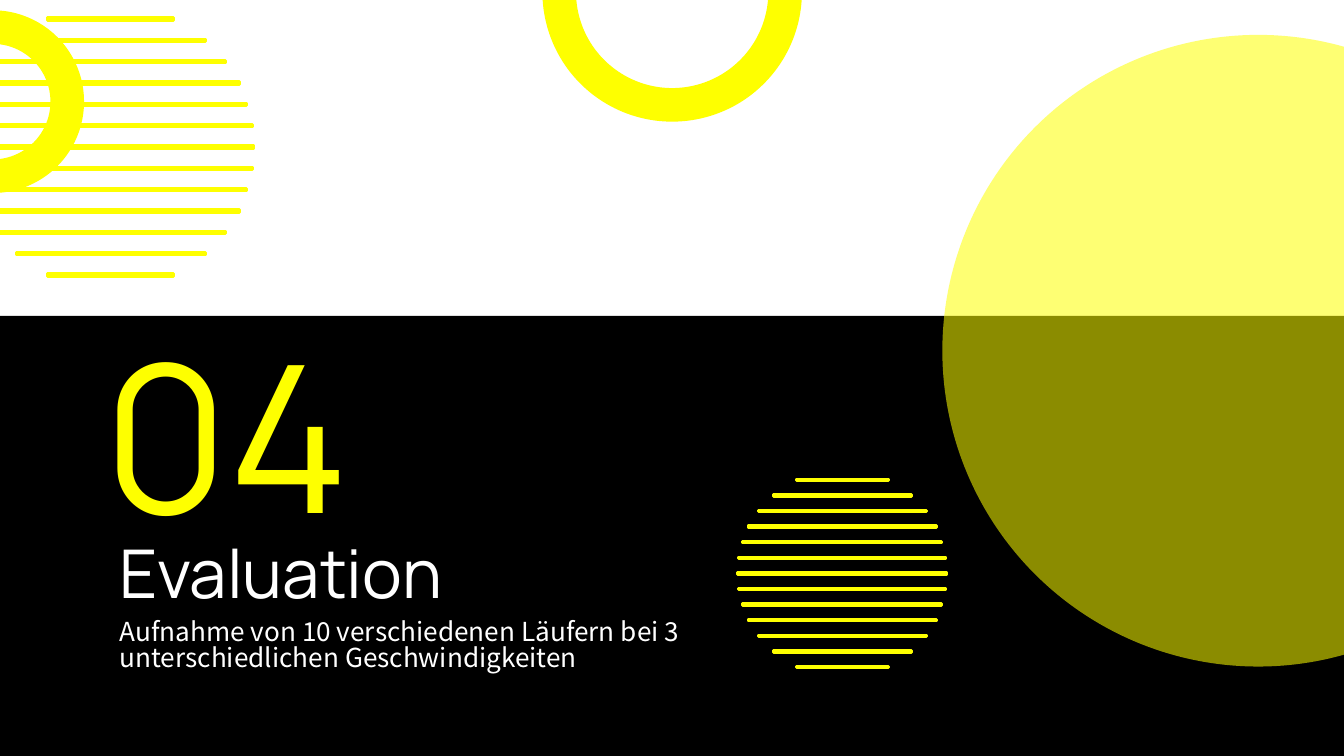
from lxml import etree
from pptx import Presentation
from pptx.dml.color import RGBColor
from pptx.enum.shapes import MSO_SHAPE
from pptx.enum.text import MSO_ANCHOR
from pptx.oxml.ns import qn
from pptx.util import Cm, Pt

RECTANGLE, OVAL, ARC = MSO_SHAPE.RECTANGLE, MSO_SHAPE.OVAL, MSO_SHAPE.ARC
MIDDLE = MSO_ANCHOR.MIDDLE

COLORS = {"yellow": "FEFF00", "black": "000000", "white": "FFFFFF"}
HALF_RATIOS = [0.44, 0.66, 0.8, 0.9, 0.95, 0.99]
STRIPE_RATIOS = HALF_RATIOS + [1] + HALF_RATIOS[::-1]


def color(name):
    return RGBColor.from_string(COLORS[name])


def paint(shape, fill=None, line=None, width=0):
    shape.shadow.inherit = False
    if fill:
        shape.fill.solid()
        shape.fill.fore_color.rgb = color(fill)
    else:
        shape.fill.background()
    if line:
        shape.line.color.rgb = color(line)
        shape.line.width = Pt(width)
    else:
        shape.line.fill.background()


def add_plain(page, kind, box, fill, opacity=None):
    shape = page.shapes.add_shape(kind, *map(Cm, box))
    paint(shape, fill)
    if opacity:
        tint = shape.fill._xPr.find(qn("a:solidFill"))[0]
        etree.SubElement(tint, qn("a:alpha"), val=str(opacity * 1000))


def add_half_ring(page, box, rotation):
    ring = page.shapes.add_shape(ARC, *map(Cm, box))
    ring.adjustments[0] = 53.97
    ring.adjustments[1] = 162.24
    ring.rotation = rotation
    paint(ring, line="yellow", width=18)


def add_striped_disc(page, box, thickness):
    """Stack centred stripes whose widths follow a circle; box spans first to last stripe."""
    left, top, width, height = box
    group = page.shapes.add_group_shape()
    pitch = height / (len(STRIPE_RATIOS) - 1)
    for row, ratio in enumerate(STRIPE_RATIOS):
        start = left + width * (1 - ratio) / 2
        end = start + width * ratio
        upper = top + row * pitch - thickness / 2
        lower = upper + thickness
        corners = [(start, lower), (end, lower), (end, upper)]
        builder = group.shapes.build_freeform(Cm(start), Cm(upper))
        builder.add_line_segments([(Cm(x), Cm(y)) for x, y in corners], close=True)
        paint(builder.convert_to_shape(), "yellow", "yellow", 1.5)


def add_text(page, box, text, tint, spacing=1.0, **font_format):
    frame = page.shapes.add_textbox(*map(Cm, box)).text_frame
    frame_format = {"word_wrap": True, "vertical_anchor": MIDDLE}
    frame_format.update({f"margin_{side}": Cm(0.25)
                         for side in ("left", "top", "right", "bottom")})
    for name, value in frame_format.items():
        setattr(frame, name, value)
    para = frame.paragraphs[0]
    para.line_spacing = spacing
    span = para.add_run()
    span.text = text
    span.font.color.rgb = color(tint)
    for name, value in font_format.items():
        setattr(span.font, name, value)


def add_backdrop(page):
    add_plain(page, RECTANGLE, (-0.08, 5.97, 25.48, 8.33), "black")
    add_half_ring(page, (-1.55, 0.51, 2.82, 2.82), 180)
    add_plain(page, OVAL, (17.81, 0.66, 11.94, 11.94), "yellow", opacity=55)
    add_striped_disc(page, (-0.61, 0.36, 5.41, 4.84), 0.05)
    add_half_ring(page, (10.57, -2.29, 4.27, 4.27), 270)


def add_section_heading(page, left, top, width):
    add_text(page, (left, top + 2.92, width, 2.34), "Evaluation", "white",
             name="Manrope", size=Pt(36))
    add_text(page, (left, top + 4.98, width, 1.07),
             "Aufnahme von 10 verschiedenen Läufern bei 3 unterschiedlichen Geschwindigkeiten",
             "white", spacing=0.82, name="Noto Sans CJK KR", size=Pt(14))
    add_text(page, (left - 0.3, top, width + 0.28, 2.9), "04", "yellow",
             name="Manrope", size=Pt(110))


def main():
    deck = Presentation()
    deck.slide_width, deck.slide_height = Cm(25.4), Cm(14.29)
    page = deck.slides.add_slide(deck.slide_layouts[6])
    page.background.fill.solid()
    page.background.fill.fore_color.rgb = color("white")
    add_backdrop(page)
    add_section_heading(page, 2.01, 6.71, 11.81)
    add_striped_disc(page, (13.94, 9.07, 3.96, 3.54), 0.03)
    deck.save("out.pptx")


if __name__ == "__main__":
    main()
